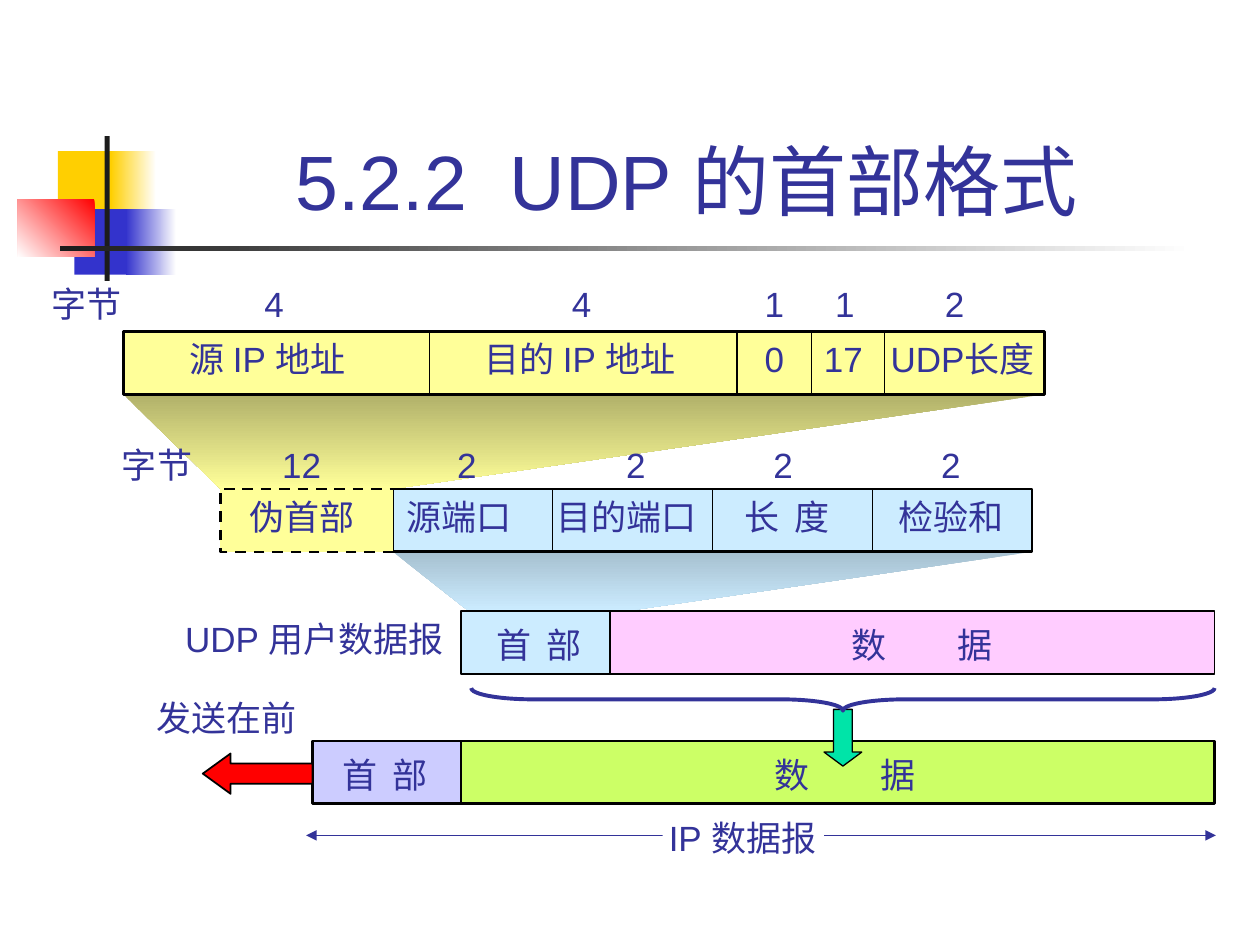
from lxml import etree
from pptx import Presentation
from pptx.dml.color import RGBColor
from pptx.enum import dml, shapes, text
from pptx.oxml import ns
from pptx.util import Inches, Pt

INK = "333399"
BLACK = "000000"
YELLOW = "FFFF99"
SKY = "CCECFF"
ROW = 0.5
PSEUDO_TOP, HEADER_TOP, DATAGRAM_TOP, PACKET_TOP = 2.63, 3.88, 4.85, 5.88
HEADER_LEFT, HEADER_WIDTH = 3.12, 5.07
KINDS = shapes.MSO_SHAPE

DECORATION = [
    ((0.46, 1.2, 0.48, 0.52), "FFCF01"),
    ((0.88, 1.2, 0.36, 0.52), ("FFFFFF", "FFCF01", 180)),
    ((0.59, 1.66, 0.46, 0.52), "3333CC"),
    ((1, 1.66, 0.4, 0.52), ("FFFFFF", "3333CC", 180)),
    ((0.14, 1.58, 0.61, 0.46), ("FF0000", "FFFFFF", 225)),
    ((0.83, 1.08, 0.04, 1.15), "1C1C1C"),
    ((0.48, 1.95, 9, 0.04), ("FFFFFF", "1C1C1C", 180)),
]
LABEL_ROWS = [
    (2.19, [(0.31, 0.8, "字节"), (2, 0.35, "4"), (4.44, 0.35, "4"),
            (5.97, 0.35, "1"), (6.53, 0.35, "1"), (7.4, 0.35, "2")]),
    (2.63, [(1.41, 1.57, "源 IP 地址"), (3.75, 1.85, "目的 IP 地址"),
            (5.97, 0.35, "0"), (6.44, 0.51, "17"), (6.97, 1.41, "UDP长度")]),
    (3.47, [(0.87, 0.8, "字节"), (2.14, 0.51, "12"), (3.53, 0.35, "2"),
            (4.87, 0.35, "2"), (6.04, 0.35, "2"), (7.37, 0.35, "2")]),
    (3.88, [(1.88, 1.08, "伪首部"), (3.13, 1.08, "源端口"),
            (4.32, 1.33, "目的端口"), (5.81, 0.88, "长\t度"), (7.03, 1.08, "检验和")]),
    (4.85, [(1.37, 2.32, "UDP 用户数据报")]),
    (4.9, [(3.84, 0.88, "首\t部"), (6.66, 1.32, "数\t据")]),
    (5.48, [(1.14, 1.33, "发送在前")]),
    (5.93, [(2.62, 0.88, "首\t部"), (6.05, 1.32, "数\t据")]),
    (6.43, [(5.21, 1.44, "IP 数据报")]),
]


def color(value):
    return RGBColor.from_string(value)


def paint(shape, fill=None, line=None, width=1):
    shape.shadow.inherit = False
    if fill is None:
        shape.fill.background()
    elif isinstance(fill, tuple):
        shape.fill.gradient()
        shape.fill.gradient_angle = fill[2]
        for stop, position, value in zip(shape.fill.gradient_stops, (0, 1), fill):
            stop.position = position
            stop.color.rgb = color(value)
    else:
        shape.fill.solid()
        shape.fill.fore_color.rgb = color(fill)
    if line:
        shape.line.color.rgb = color(line)
        shape.line.width = Pt(width)
    else:
        shape.line.fill.background()
    return shape


def add_preset(page, kind, place, fill=None, line=None, width=1, adjust=()):
    shape = page.shapes.add_shape(kind, *map(Inches, place))
    for index, value in enumerate(adjust):
        shape.adjustments[index] = value
    return paint(shape, fill, line, width)


def add_outline(page, points, fill, line=None, width=1, close=True):
    corners = [(Inches(x), Inches(y)) for x, y in points]
    builder = page.shapes.build_freeform(*corners[0])
    builder.add_line_segments(corners[1:], close=close)
    return paint(builder.convert_to_shape(), fill, line, width)


def add_line(page, start, end, line=BLACK, arrows=False):
    connector = page.shapes.add_connector(
        shapes.MSO_CONNECTOR.STRAIGHT, *map(Inches, start + end))
    connector.line.color.rgb = color(line)
    connector.line.width = Pt(0.75)
    if arrows:
        stroke = connector.line._get_or_add_ln()
        for end_name in ("a:headEnd", "a:tailEnd"):
            etree.SubElement(stroke, ns.qn(end_name), type="triangle")
    etree.SubElement(connector._element.spPr, ns.qn("a:effectLst"))


def format_font(font, size):
    for name, value in {"name": "Arial", "size": Pt(size), "bold": False}.items():
        setattr(font, name, value)
    font.color.rgb = color(INK)


def add_label(page, left, top, width, words):
    box = page.shapes.add_textbox(*map(Inches, (left, top, width, 0.44)))
    frame = box.text_frame
    settings = {"word_wrap": False, "auto_size": text.MSO_AUTO_SIZE.SHAPE_TO_FIT_TEXT}
    for name, value in settings.items():
        setattr(frame, name, value)
    para = frame.paragraphs[0]
    if "\t" in words:
        stops = etree.SubElement(para._p.get_or_add_pPr(), ns.qn("a:tabLst"))
        gap = 0.84 if words.startswith("数") else 0.4
        etree.SubElement(stops, ns.qn("a:tab"), pos=str(Inches(gap)), algn="l")
    span = para.add_run()
    span.text = words
    format_font(span.font, 20)


def set_title(page):
    title = page.shapes.title
    place = {"left": 1.19, "top": 0.24, "width": 8.52, "height": 1.6}
    for name, value in place.items():
        setattr(title, name, Inches(value))
    frame = title.text_frame
    settings = {"vertical_anchor": text.MSO_ANCHOR.BOTTOM,
                "auto_size": text.MSO_AUTO_SIZE.NONE, "word_wrap": True}
    for name, value in settings.items():
        setattr(frame, name, value)
    para = frame.paragraphs[0]
    para.alignment = text.PP_ALIGN.CENTER
    for words, spacing in (("5.2.2", 0), (" ", 12), ("UDP 的首部格式", 0)):
        span = para.add_run()
        span.text = words
        format_font(span.font, 44)
        if spacing:
            span._r.get_or_add_rPr().set("spc", str(spacing * 100))


def add_pseudo_header(page):
    left, right, bottom = 0.98, 8.29, PSEUDO_TOP + ROW
    add_outline(page, [(left, bottom), (right, bottom), (HEADER_LEFT, HEADER_TOP),
                       (1.75, HEADER_TOP)], ("B1B16A", YELLOW, 270))
    add_preset(page, KINDS.RECTANGLE, (left, PSEUDO_TOP, right - left, ROW),
               YELLOW, BLACK, 1.5)
    for x in (3.41, 5.85, 6.44, 7.02):
        add_line(page, (x, PSEUDO_TOP), (x, bottom))


def add_udp_header(page):
    right, bottom = HEADER_LEFT + HEADER_WIDTH, HEADER_TOP + ROW
    add_outline(page, [(HEADER_LEFT, bottom), (right, bottom), (4.97, DATAGRAM_TOP),
                       (3.72, DATAGRAM_TOP)], ("A6C0D0", SKY, 270))
    add_preset(page, KINDS.RECTANGLE, (HEADER_LEFT, HEADER_TOP, HEADER_WIDTH, ROW),
               SKY, BLACK, 1.5)
    for field in (1, 2, 3):
        x = HEADER_LEFT + HEADER_WIDTH * field / 4
        add_line(page, (x, HEADER_TOP), (x, bottom))
    pseudo = add_outline(page, [(HEADER_LEFT, bottom), (1.75, bottom),
                                (1.75, HEADER_TOP), (HEADER_LEFT, HEADER_TOP)],
                         YELLOW, BLACK, 1.5, close=False)
    pseudo.line.dash_style = dml.MSO_LINE.DASH


def add_datagrams(page):
    for place, fill, width in (
        ((3.66, DATAGRAM_TOP, 1.18, ROW), SKY, 1),
        ((4.84, DATAGRAM_TOP, 4.8, ROW), "FFCCFF", 1),
        ((3.66, PACKET_TOP, 5.98, ROW), "CCFF66", 1.5),
        ((2.48, PACKET_TOP, 1.18, ROW), "CCCCFF", 1.5),
    ):
        add_preset(page, KINDS.RECTANGLE, place, fill, BLACK, width)
    add_preset(page, KINDS.LEFT_ARROW, (1.61, 5.98, 0.87, 0.32), "FF0000", BLACK,
               adjust=(0.5, 0.69))
    add_preset(page, KINDS.DOWN_ARROW, (6.54, 5.63, 0.3, 0.45), "00E4A8", BLACK, 0.75,
               adjust=(0.5, 0.37))
    brace = add_preset(page, KINDS.LEFT_BRACE, (6.6, 2.6, 0.18, 5.9), None, INK, 2.25,
                       adjust=(2.72, 0.5))
    brace.rotation = 270
    add_line(page, (2.43, 6.63), (9.65, 6.63), INK, arrows=True)
    add_preset(page, KINDS.RECTANGLE, (5.26, 6.46, 1.28, 0.32), "FFFFFF")


def main():
    deck = Presentation()
    deck.slide_width, deck.slide_height = Inches(10), Inches(7.5)
    page = deck.slides.add_slide(deck.slide_layouts[5])
    for place, fill in DECORATION:
        add_preset(page, KINDS.RECTANGLE, place, fill)
    set_title(page)
    add_pseudo_header(page)
    add_udp_header(page)
    add_datagrams(page)
    for top, labels in LABEL_ROWS:
        for left, width, words in labels:
            add_label(page, left, top, width, words)
    deck.save("out.pptx")


if __name__ == "__main__":
    main()
